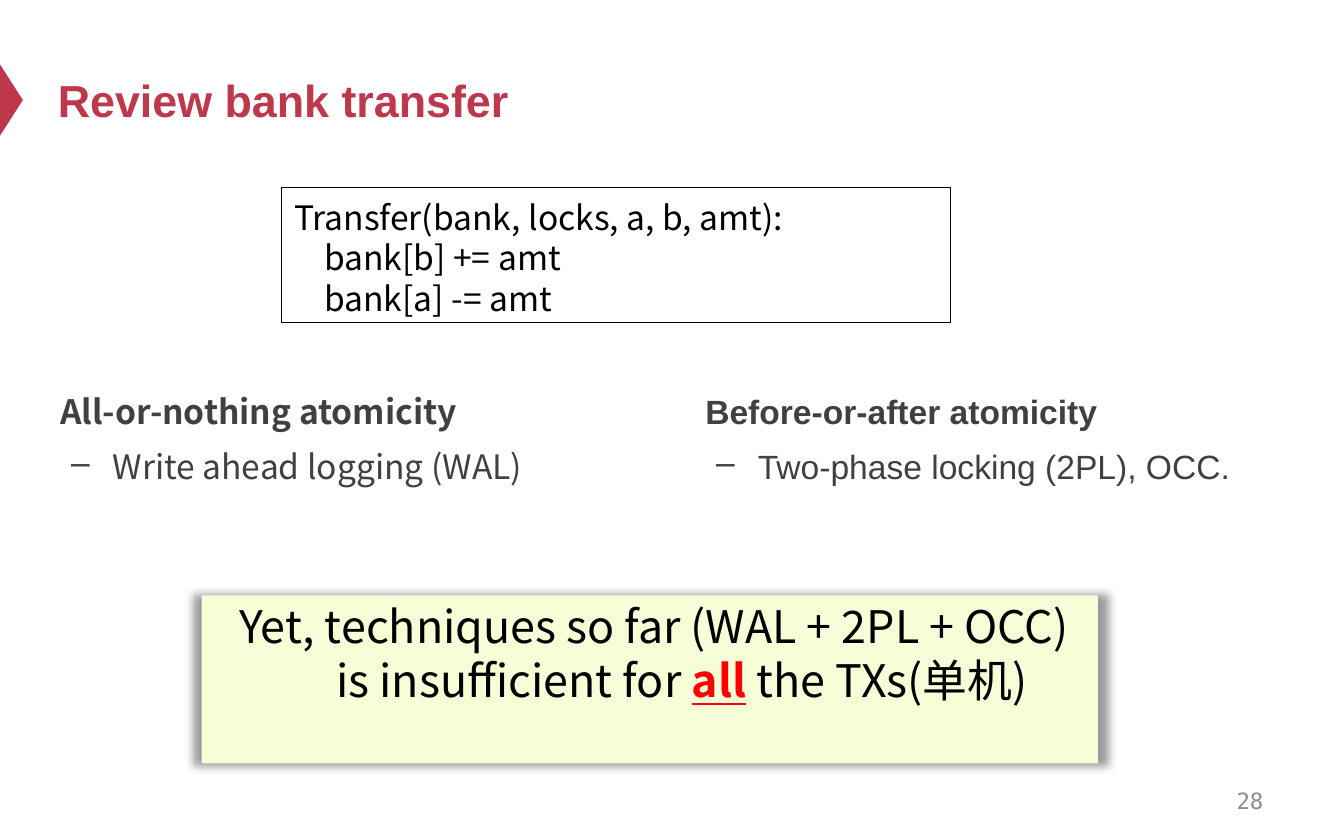
from dataclasses import dataclass

from lxml import etree
from pptx import Presentation
from pptx.dml.color import RGBColor
from pptx.enum.shapes import MSO_SHAPE
from pptx.enum.text import MSO_ANCHOR, MSO_AUTO_SIZE, PP_ALIGN
from pptx.oxml.ns import qn
from pptx.util import Pt

LEFT, CENTER, RIGHT = PP_ALIGN.LEFT, PP_ALIGN.CENTER, PP_ALIGN.RIGHT
TOP, MIDDLE = MSO_ANCHOR.TOP, MSO_ANCHOR.MIDDLE
RECTANGLE, TRIANGLE = MSO_SHAPE.RECTANGLE, MSO_SHAPE.ISOSCELES_TRIANGLE
NO_AUTOFIT = MSO_AUTO_SIZE.NONE

EMU_PER_PX = 9144
TITLE_ONLY = 5


@dataclass(frozen=True)
class Theme:
    accent: str = "BE384B"
    black: str = "000000"
    body: str = "404040"
    muted: str = "8C8C8C"
    alert: str = "FF0000"
    callout: str = "F5FED6"
    sans: str = "Arial"
    cjk: str = "Noto Sans CJK SC"
    mono: str = "DejaVu Sans Mono"
    large: int = 24
    medium: int = 18
    small: int = 12


THEME = Theme()


def px(value):
    return value * EMU_PER_PX


def color(value):
    return RGBColor.from_string(value)


def place(shape, left, top, width, height):
    shape.left, shape.top = px(left), px(top)
    shape.width, shape.height = px(width), px(height)


def prepare_frame(shape, anchor=TOP, margins=(10, 5, 10, 5)):
    frame = shape.text_frame
    frame.word_wrap = True
    frame.auto_size = NO_AUTOFIT
    frame.vertical_anchor = anchor
    (frame.margin_left, frame.margin_top,
     frame.margin_right, frame.margin_bottom) = map(px, margins)
    return frame


def add_run(paragraph, text, font, size, fill, bold=False, underline=False):
    run = paragraph.add_run()
    run.text = text
    run.font.name = font
    run.font.size = Pt(size)
    run.font.bold = bold
    run.font.underline = underline
    run.font.color.rgb = color(fill)
    if font == THEME.cjk:
        east_asian = etree.SubElement(run.font._element, qn("a:ea"))
        east_asian.set("typeface", font)


def set_indent(paragraph, margin, indent, bullet=None):
    properties = paragraph._p.get_or_add_pPr()
    properties.set("marL", str(px(margin)))
    properties.set("indent", str(px(indent)))
    if bullet:
        etree.SubElement(properties, qn("a:buChar")).set("char", bullet)


def add_panel(slide, kind, box, fill=None, line=None):
    shape = slide.shapes.add_shape(kind, *map(px, box))
    shape.shadow.inherit = False
    if fill:
        shape.fill.solid()
        shape.fill.fore_color.rgb = color(fill)
    else:
        shape.fill.background()
    if line:
        shape.line.color.rgb = color(line)
        shape.line.width = Pt(0.3)
    else:
        shape.line.fill.background()
    return shape


def add_glow_shadow(shape):
    effects = shape._element.spPr.find(qn("a:effectLst"))
    shadow = etree.SubElement(
        effects, qn("a:outerShdw"), blurRad=str(Pt(5)), dist="0",
        sx="102000", sy="102000", algn="ctr", rotWithShape="0")
    tone = etree.SubElement(shadow, qn("a:srgbClr"), val=THEME.black)
    etree.SubElement(tone, qn("a:alpha"), val="40000")


def add_title(slide, text):
    title = slide.shapes.title
    place(title, 33, 25, 900, 98)
    paragraph = prepare_frame(title, MIDDLE).paragraphs[0]
    paragraph.alignment = LEFT
    add_run(paragraph, text, THEME.sans, THEME.large, THEME.accent, bold=True)


def add_page_number(slide, number):
    box = slide.shapes.add_textbox(*map(px, (717, 579, 233, 33)))
    paragraph = prepare_frame(box, MIDDLE).paragraphs[0]
    paragraph.alignment = RIGHT
    add_run(paragraph, number, THEME.mono, THEME.small, THEME.muted)


def add_code(slide, lines):
    panel = add_panel(slide, RECTANGLE, (209, 139, 498, 101), line=THEME.black)
    frame = prepare_frame(panel, margins=(10, 7, 10, 5))
    for index, line in enumerate(lines):
        paragraph = frame.add_paragraph() if index else frame.paragraphs[0]
        paragraph.alignment = LEFT
        paragraph.line_spacing = Pt(21.7)
        add_run(paragraph, line, THEME.cjk, THEME.medium, THEME.black)


def add_topic(slide, box, font, heading, detail):
    shape = slide.shapes.add_textbox(*map(px, box))
    frame = prepare_frame(shape)
    first = frame.paragraphs[0]
    first.line_spacing = Pt(26)
    add_run(first, heading, font, THEME.medium, THEME.body, bold=True)
    second = frame.add_paragraph()
    second.level = 1
    second.line_spacing = Pt(26)
    second.space_before = Pt(3.6)
    set_indent(second, 39, -31, "–")
    add_run(second, detail, font, THEME.medium, THEME.body)


def add_callout(slide):
    panel = add_panel(slide, RECTANGLE, (150, 443, 667, 125), fill=THEME.callout)
    add_glow_shadow(panel)
    paragraph = prepare_frame(panel, margins=(8, 2, 8, 4)).paragraphs[0]
    paragraph.alignment = CENTER
    paragraph.line_spacing = Pt(28.9)
    set_indent(paragraph, 48, -42)
    style = (THEME.cjk, THEME.large)
    add_run(paragraph, "Yet, techniques so far (WAL + 2PL + OCC) is insufficient for ",
            *style, THEME.black)
    add_run(paragraph, "all", *style, THEME.alert, bold=True, underline=True)
    add_run(paragraph, " the TXs(单机)", *style, THEME.black)


def main():
    presentation = Presentation()
    presentation.slide_width, presentation.slide_height = px(1000), px(625)
    slide = presentation.slides.add_slide(presentation.slide_layouts[TITLE_ONLY])
    marker = add_panel(slide, TRIANGLE, (-18, 66, 53, 17), fill=THEME.accent)
    marker.rotation = 90
    add_title(slide, "Review bank transfer")
    add_page_number(slide, "28")
    add_code(slide, ["Transfer(bank, locks, a, b, amt):",
                     "    bank[b] += amt",
                     "    bank[a] -= amt"])
    add_callout(slide)
    add_topic(slide, (35, 280, 402, 142), THEME.cjk,
              "All-or-nothing atomicity", "Write ahead logging (WAL)")
    add_topic(slide, (515, 280, 450, 142), THEME.sans,
              "Before-or-after atomicity", "Two-phase locking (2PL), OCC.")
    presentation.save("out.pptx")


if __name__ == "__main__":
    main()
